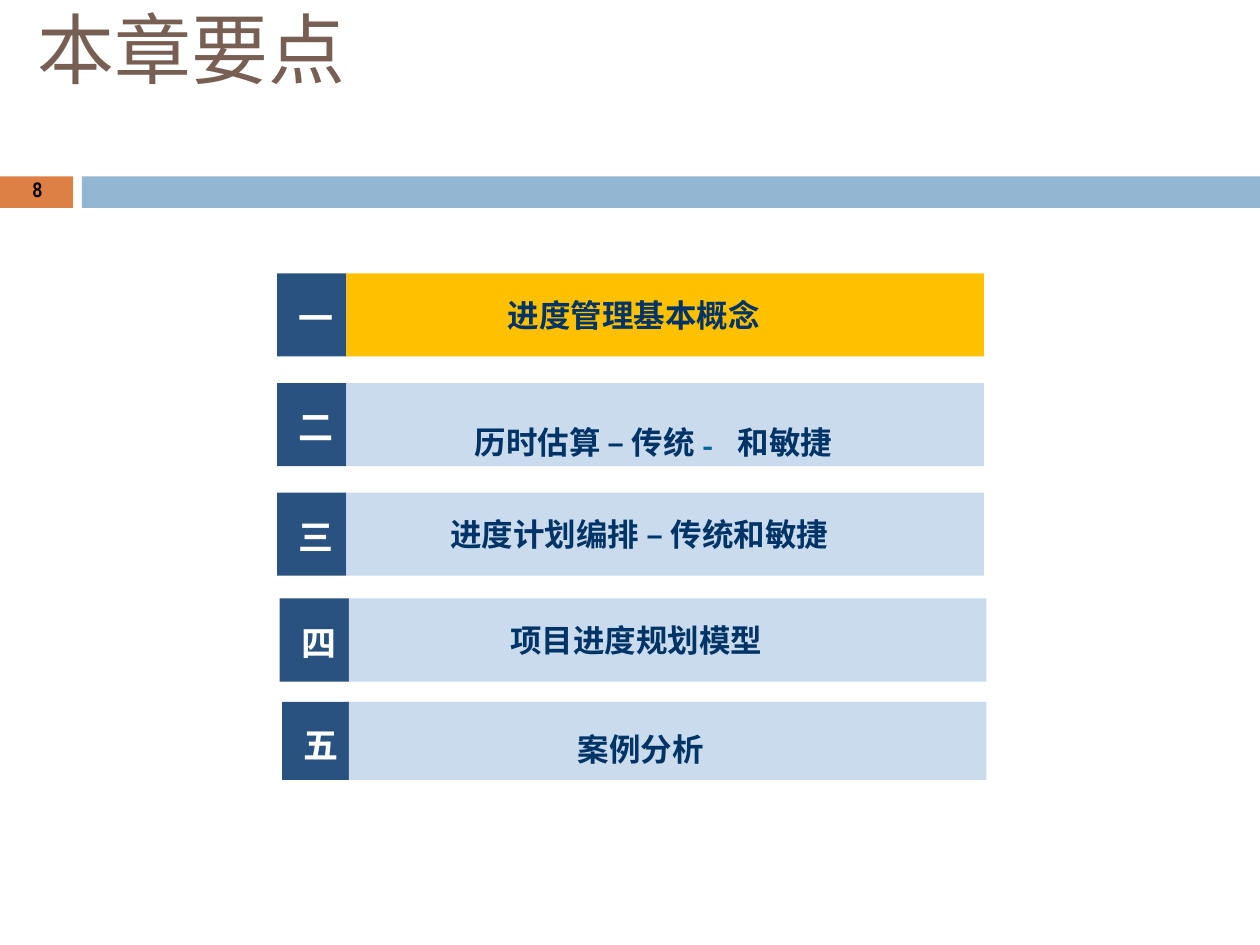
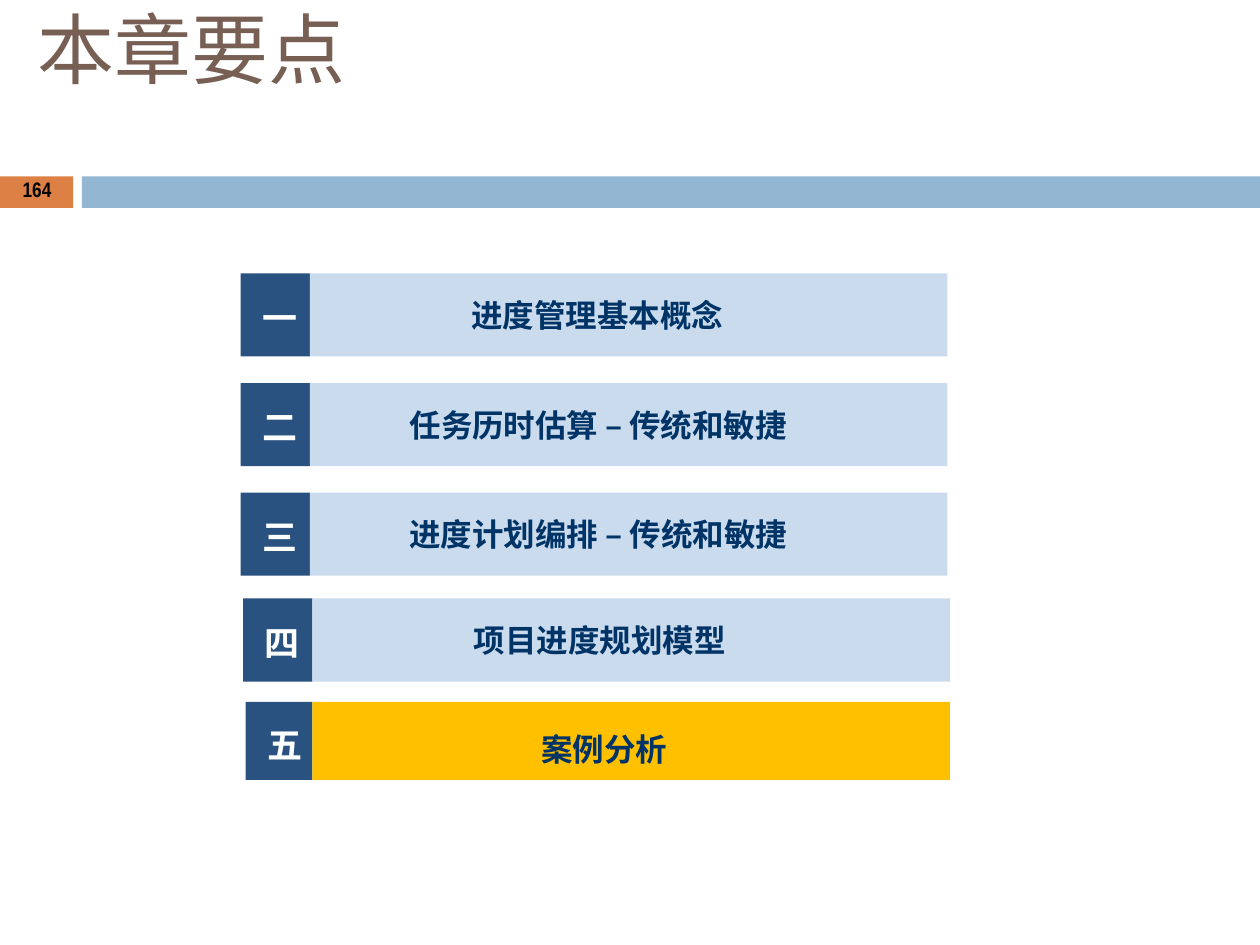
from pptx import Presentation
from pptx.dml.color import RGBColor
from pptx.enum.shapes import MSO_SHAPE
from pptx.enum.text import MSO_ANCHOR, MSO_AUTO_SIZE, PP_ALIGN
from pptx.oxml.ns import qn
from pptx.util import Inches, Pt
from lxml.etree import SubElement

TITLE = "本章要点"
CJK, NUMBER_FONT = "Noto Sans CJK SC", "Arial Narrow"
COLORS = {
    "title": "775F54", "number": "000000", "orange": "DD8046", "blue": "93B6D2",
    "tag": "2A5280", "tag_text": "FFFFFF", "label": "C9DBED",
    "label_text": "003366", "current": "FFC000", "dash": "006699",
}

BANDS = [(0, 0.58, "orange"), (0.65, 9.35, "blue")]
BAND_TOP, BAND_HEIGHT = 1.4, 0.25
TAG_WIDTH, LABEL_WIDTH = 0.55, 5.06

ROWS = [
    {"tag": "一", "top": 2.17},
    {"tag": "二", "top": 3.04},
    {"tag": "三", "top": 3.91},
    {"tag": "四", "top": 4.75, "nudge": 0.02},
    {"tag": "五", "top": 5.57, "nudge": 0.02, "height": 0.62,
     "tag_width": 0.53, "tag_inset": 0.17},
]

PLANNING_RUNS = [("进度计划编排 – 传统和敏捷", {})]
BASICS = {"runs": [("进度管理基本概念", {})], "margin": 1.28}
EARLY_PLANNING = {"runs": PLANNING_RUNS, "right": 0.41}
PLANNING = {"runs": PLANNING_RUNS, "right": 0.48}
MODEL = {"runs": [("项目进度规划模型", {})], "margin": 1.28}
CASES = {"runs": [("案例分析", {})], "inset": 0.22, "right": 0.43}
ESTIMATES = {
    "runs": [("任务历时估", {"spacing": -0.1}), ("算 – 传统和敏捷", {})],
    "right": 0.48,
}
SHORT_ESTIMATES = {
    "inset": 0.15, "margin": 1.02,
    "runs": [
        ("历时估", {"spacing": -0.1}), ("算 –", {}), (" 传", {"spacing": -0.1}),
        ("统", {"spacing": -16.4}),
        ("- ", {"size": 30, "color": "dash", "baseline": -6, "spacing": 1.3}),
        ("和敏捷", {"spacing": -0.1}),
    ],
}

SLIDES = [
    {"number": "8", "number_left": 0.24, "number_width": 0.1,
     "label_left": 2.75, "current": 0,
     "labels": [BASICS, SHORT_ESTIMATES, EARLY_PLANNING, MODEL, CASES]},
    {"number": "164", "number_left": 0.16, "number_width": 0.26,
     "label_left": 2.46, "current": 4,
     "labels": [BASICS, ESTIMATES, PLANNING, MODEL, CASES]},
]


def rgb(name):
    """Return the named palette colour."""
    return RGBColor.from_string(COLORS[name])


def add_run(para, text, size, color, bold=True, font=CJK, spacing=0, baseline=0):
    """Append one formatted run to a paragraph."""
    span = para.add_run()
    span.text = text
    span.font.size, span.font.bold, span.font.name = Pt(size), bold, font
    span.font.color.rgb = rgb(color)
    properties = span.font._element
    SubElement(properties, qn("a:ea")).set("typeface", font)
    if spacing:
        properties.set("spc", str(round(spacing * 100)))
    if baseline:
        properties.set("baseline", str(baseline * 1000))


def prepare_text(shape, inset=0.01, margin=0.02, right=0, align=PP_ALIGN.LEFT,
                 wrap=True):
    """Set the frame of a shape's text and return its first paragraph."""
    frame = shape.text_frame
    frame.margin_left = frame.margin_bottom = 0
    frame.margin_right = Inches(right)
    frame.margin_top = Inches(inset)
    frame.vertical_anchor = MSO_ANCHOR.TOP
    frame.auto_size = MSO_AUTO_SIZE.NONE
    frame.word_wrap = wrap
    para = frame.paragraphs[0]
    para.alignment = align
    properties = para._p.get_or_add_pPr()
    properties.set("marL", str(Inches(margin)))
    properties.set("indent", "0")
    return para


def add_block(page, left, top, width, height, color):
    """Add a plain filled rectangle."""
    block = page.shapes.add_shape(
        MSO_SHAPE.RECTANGLE, Inches(left), Inches(top), Inches(width), Inches(height))
    block.shadow.inherit = False
    block.fill.solid()
    block.fill.fore_color.rgb = rgb(color)
    block.line.fill.background()
    return block


def add_heading(page, content):
    """Add the bands, the title and the page number."""
    for left, width, color in BANDS:
        add_block(page, left, BAND_TOP, width, BAND_HEIGHT, color)
    title = page.shapes.title
    title.left, title.top = Inches(0.28), Inches(0)
    title.width, title.height = Inches(2.48), Inches(0.76)
    add_run(prepare_text(title), TITLE, 44, "title", bold=False)
    box = page.shapes.add_textbox(
        Inches(content["number_left"]), Inches(1.39),
        Inches(content["number_width"]), Inches(0.23))
    add_run(prepare_text(box, wrap=False), content["number"], 12, "number",
            font=NUMBER_FONT)


def add_row(page, row, label, label_left, is_current):
    """Add one chapter row: a numbered tag and its label."""
    left = label_left + row.get("nudge", 0)
    top, height = row["top"], row.get("height", 0.66)
    tag_width = row.get("tag_width", TAG_WIDTH)
    tag = add_block(page, left - tag_width, top, tag_width, height, "tag")
    para = prepare_text(tag, row.get("tag_inset", 0.18), 0.17)
    add_run(para, row["tag"], 20, "tag_text")

    fill = "current" if is_current else "label"
    bar = add_block(page, left, top, LABEL_WIDTH, height, fill)
    margin = label.get("margin", 0)
    align = PP_ALIGN.LEFT if margin else PP_ALIGN.CENTER
    para = prepare_text(bar, label.get("inset", 0.18), margin,
                        label.get("right", 0), align)
    for text, style in label["runs"]:
        add_run(para, text, **{"size": 18, "color": "label_text", **style})


def main():
    """Build the chapter overview slides."""
    deck = Presentation()
    deck.slide_width, deck.slide_height = Inches(10), Inches(7.5)
    for content in SLIDES:
        page = deck.slides.add_slide(deck.slide_layouts[5])
        add_heading(page, content)
        for index, (row, label) in enumerate(zip(ROWS, content["labels"])):
            add_row(page, row, label, content["label_left"],
                    index == content["current"])
    deck.save("out.pptx")


if __name__ == "__main__":
    main()
